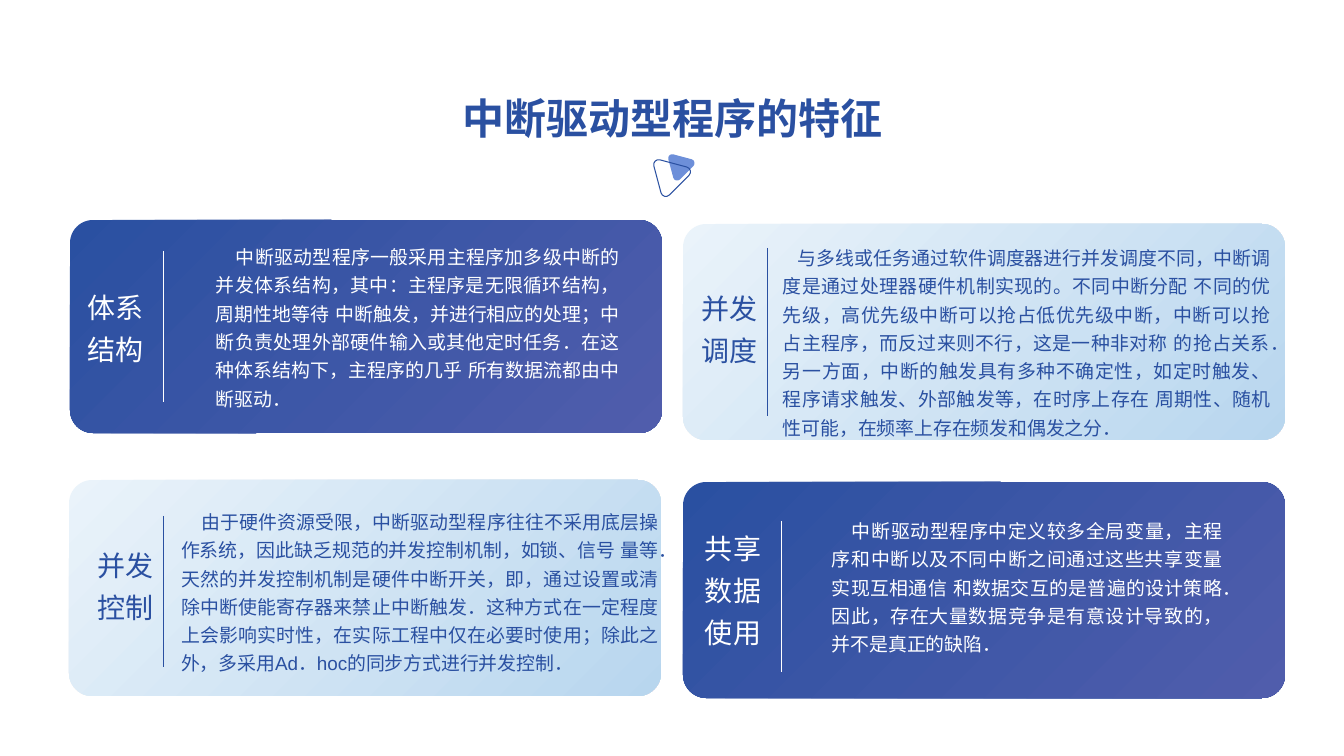
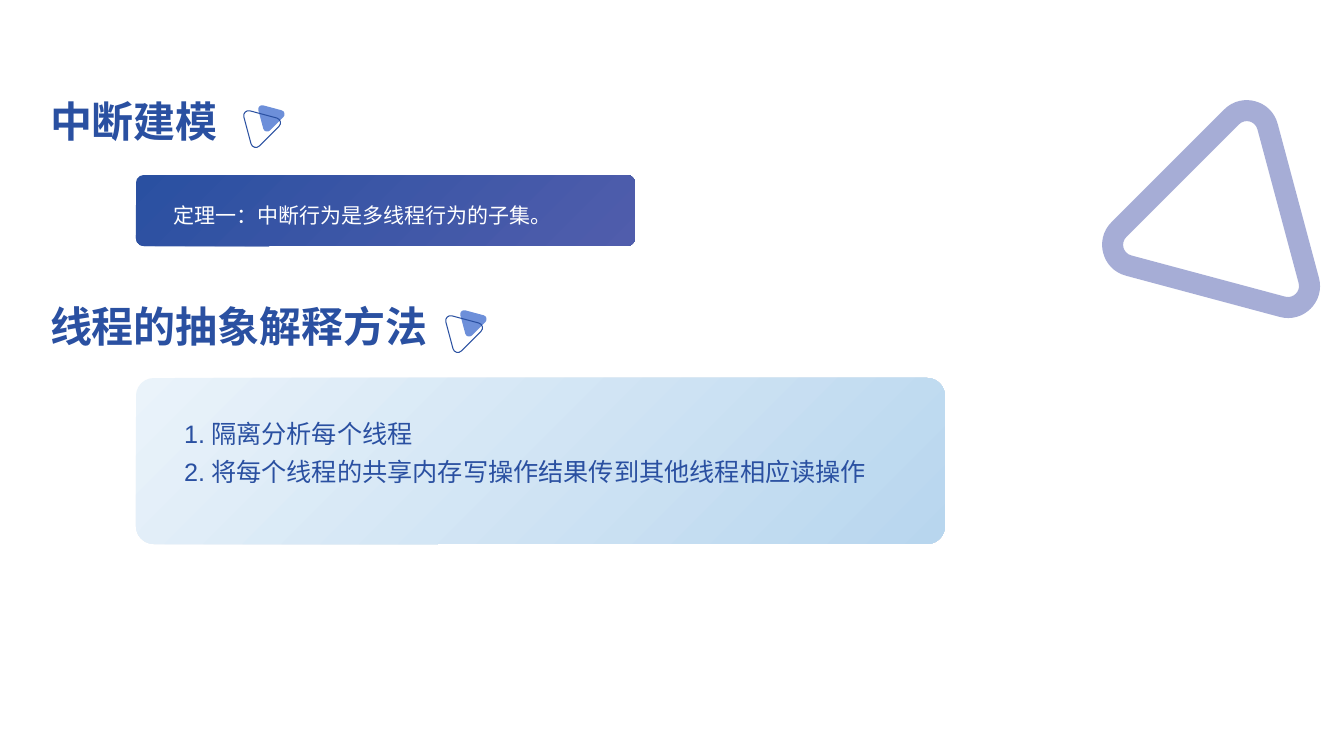
from dataclasses import dataclass
from math import cos, radians, sin

from lxml import etree
from pptx import Presentation
from pptx import util as u
from pptx.dml.color import RGBColor
from pptx.enum import shapes, text
from pptx.oxml import ns

PX = 914400 / 100.8  # EMU in one px
TITLE_AND_CONTENT, TITLE_ONLY = 1, 5


@dataclass(frozen=True)
class Theme:
    font: str = "Arial"
    ink: str = "2A50A1"
    paper: str = "FFFFFF"
    accent: str = "6D8FD9"
    ring: str = "8891C8"
    ring_alpha: int = 74
    dark: tuple = ("2A50A1", "505DAC")
    light: tuple = ("EAF3FA", "B8D6EE")
    corner: float = 0.108
    spacing: float = 1.25
    heading: float = 30
    label: float = 20
    item: float = 18
    theorem: float = 15
    body: float = 13.5


T = Theme()


@dataclass(frozen=True)
class Card:
    """Label, rule and text are placed relative to the box."""
    box: tuple        # left, top, width, height
    dark: bool
    label: str
    label_at: tuple   # left, top
    rule: tuple       # left, top, bottom
    body_at: tuple    # left, top, width
    indent: int
    body: str


CARDS = (
    Card((70, 220, 592, 213), True, "体系结构", (18, 62), (93, 31, 182),
         (146, 20, 404), 20,
         "中断驱动型程序一般采用主程序加多级中断的并发体系结构，其中：主程序是无限循环结构，"
         "周期性地等待 中断触发，并进行相应的处理；中断负责处理外部硬件输入或其他定时任务．"
         "在这种体系结构下，主程序的几乎 所有数据流都由中断驱动．"),
    Card((683, 224, 602, 216), False, "并发调度", (19, 59), (84, 24, 192),
         (100, 17, 488), 15,
         "与多线或任务通过软件调度器进行并发调度不同，中断调度是通过处理器硬件机制实现的。"
         "不同中断分配 不同的优先级，高优先级中断可以抢占低优先级中断，中断可以抢占主程序，"
         "而反过来则不行，这是一种非对称 的抢占关系．另一方面，中断的触发具有多种不确定性，"
         "如定时触发、程序请求触发、外部触发等，在时序上存在 周期性、随机性可能，"
         "在频率上存在频发和偶发之分．"),
    Card((69, 480, 592, 216), False, "并发控制", (29, 60), (94, 36, 187),
         (112, 25, 478), 20,
         "由于硬件资源受限，中断驱动型程序往往不采用底层操作系统，因此缺乏规范的并发控制机制，"
         "如锁、信号 量等．天然的并发控制机制是硬件中断开关，即，通过设置或清除中断使能寄存器"
         "来禁止中断触发．这种方式在一定程度上会影响实时性，在实际工程中仅在必要时使用；"
         "除此之外，多采用Ad．hoc的同步方式进行并发控制．"),
    Card((683, 482, 602, 216), True, "共享数据使用", (22, 41), (98, 39, 190),
         (149, 32, 391), 20,
         "中断驱动型程序中定义较多全局变量，主程序和中断以及不同中断之间通过这些共享变量"
         "实现互相通信 和数据交互的是普遍的设计策略．因此，存在大量数据竞争是有意设计导致的，"
         "并不是真正的缺陷．"),
)


def px(n):
    return u.Emu(round(n * PX))


def rgb(color):
    return RGBColor.from_string(color)


def set_all(obj, **values):
    for name, value in values.items():
        setattr(obj, name, value)


# Text
def write(sp, lines, size, color=T.ink, bold=False, wrap=True,
          align=text.PP_ALIGN.LEFT, spacing=T.spacing, indent=0):
    tf = sp.text_frame
    set_all(tf, margin_left=0, margin_top=0, margin_right=0, margin_bottom=0,
            word_wrap=wrap, auto_size=text.MSO_AUTO_SIZE.NONE,
            vertical_anchor=text.MSO_ANCHOR.TOP)
    for i, line in enumerate(lines):
        p = tf.add_paragraph() if i else tf.paragraphs[0]
        set_all(p, alignment=align, line_spacing=spacing,
                space_before=u.Pt(0), space_after=u.Pt(0))
        if indent:
            p._p.get_or_add_pPr().set("indent", str(px(indent)))
        r = p.add_run()
        r.text = line
        set_all(r.font, name=T.font, size=u.Pt(size), bold=bold)
        r.font.color.rgb = rgb(color)
        ea = etree.SubElement(r._r.get_or_add_rPr(), ns.qn("a:ea"))
        ea.set("typeface", T.font)


def place(sp, left, top, width, height):
    set_all(sp, left=px(left), top=px(top), width=px(width), height=px(height))


def add_text(s, box, lines, size, **style):
    sp = s.shapes.add_textbox(*map(px, box))
    write(sp, lines, size, **style)


def heading(s, box, words, sp=None, align=text.PP_ALIGN.LEFT):
    if sp is None:
        sp = s.shapes.add_textbox(0, 0, 0, 0)
    place(sp, *box)
    write(sp, [words], T.heading, bold=True, wrap=False, align=align, spacing=1.0)


def number(p, hanging):
    pPr = p._p.get_or_add_pPr()
    pPr.set("marL", str(px(hanging)))
    pPr.set("indent", str(-px(hanging)))
    font = etree.SubElement(pPr, ns.qn("a:buFont"))
    font.set("typeface", T.font)
    auto = etree.SubElement(pPr, ns.qn("a:buAutoNum"))
    auto.set("type", "arabicPeriod")


# Panels and triangles
def panel(s, box, colors):
    sp = s.shapes.add_shape(shapes.MSO_SHAPE.ROUNDED_RECTANGLE, *map(px, box))
    sp.shadow.inherit = False
    sp.adjustments[0] = T.corner
    sp.line.fill.background()
    sp.fill.gradient()
    sp.fill.gradient_angle = 315
    for stop, color, position in zip(sp.fill.gradient_stops, colors, (0, 1)):
        stop.color.rgb = rgb(color)
        stop.position = position


def contour(cx, cy, reach, radius, turn):
    """Start, two handles and end of each round corner of a triangle."""
    points = []
    for corner in (turn, turn + 120, turn + 240):
        mx = cx + reach * cos(radians(corner))
        my = cy + reach * sin(radians(corner))
        for side, handle in ((-60, 0), (-60, 0.77), (60, -0.77), (60, 0)):
            c, n = cos(radians(corner + side)), sin(radians(corner + side))
            points.append((px(mx + radius * (c - handle * n)),
                           px(my + radius * (n + handle * c))))
    return points


def curve_corners(sp):
    """Turn each handle, handle, end triple of lines into one curve."""
    outline = sp._element.find(".//" + ns.qn("a:path"))
    step, curve = 0, None
    for node in list(outline):
        if node.tag == ns.qn("a:moveTo"):
            step = 0
        elif node.tag == ns.qn("a:lnTo"):
            if step % 4 == 0:
                curve = etree.Element(ns.qn("a:cubicBezTo"))
                node.addprevious(curve)
            if step % 4 < 3:
                curve.append(node[0])
                outline.remove(node)
            step += 1


def triangle(s, contours, fill=None, line=None):
    first, *rest = contours
    fb = s.shapes.build_freeform(*first[0], scale=1.0)
    fb.add_line_segments(first[1:], close=True)
    for points in rest:
        fb.move_to(*points[0])
        fb.add_line_segments(points[1:], close=True)
    sp = fb.convert_to_shape()
    curve_corners(sp)
    sp.shadow.inherit = False
    if fill:
        sp.fill.solid()
        sp.fill.fore_color.rgb = rgb(fill)
    else:
        sp.fill.background()
    if line:
        sp.line.color.rgb = rgb(line)
        sp.line.width = u.Pt(0.75)
    else:
        sp.line.fill.background()
    return sp


def motif(s, cx, cy):
    triangle(s, [contour(cx + 10, cy - 10, 11, 4, -15)], fill=T.accent)
    triangle(s, [contour(cx, cy, 16, 5, -15)], line=T.ink)


def ring(s, cx, cy):
    outer = contour(cx, cy, 92, 32, 45)
    inner = contour(cx, cy, 92, 11, 45)[::-1]
    sp = triangle(s, [outer, inner], fill=T.ring)
    color = sp.fill._xPr.find(".//" + ns.qn("a:srgbClr"))
    etree.SubElement(color, ns.qn("a:alpha")).set("val", str(T.ring_alpha * 1000))


# Card: panel, label, rule and text
def add_card(s, card):
    left, top, width, height = card.box
    color = T.paper if card.dark else T.ink
    panel(s, card.box, T.dark if card.dark else T.light)

    dx, dy = card.label_at
    add_text(s, (left + dx, top + dy, 79, 79), [card.label], T.label, color=color)

    dx, start, end = card.rule
    rule = s.shapes.add_connector(
        shapes.MSO_CONNECTOR.STRAIGHT,
        *map(px, (left + dx, top + start, left + dx, top + end)))
    rule.line.color.rgb = rgb(color)
    rule.line.width = u.Pt(0.5)
    etree.SubElement(rule._element.spPr, ns.qn("a:effectLst"))

    dx, dy, body_width = card.body_at
    add_text(s, (left + dx, top + dy, body_width, height - dy), [card.body], T.body,
             color=color, align=text.PP_ALIGN.JUSTIFY, indent=card.indent)


# Slides
def features_slide(prs):
    s = prs.slides.add_slide(prs.slide_layouts[TITLE_ONLY])
    heading(s, (460, 93, 425, 50), "中断驱动型程序的特征",
            s.shapes.title, text.PP_ALIGN.CENTER)
    motif(s, 670, 176)
    for card in CARDS:
        add_card(s, card)


def modelling_slide(prs):
    s = prs.slides.add_slide(prs.slide_layouts[TITLE_AND_CONTENT])
    # Theorem
    heading(s, (50, 96, 170, 50), "中断建模", s.shapes.title)
    motif(s, 260, 127)
    panel(s, (136, 175, 499, 71), T.dark)
    add_text(s, (174, 196, 434, 30), ["定理一：中断行为是多线程行为的子集。"],
             T.theorem, color=T.paper)
    ring(s, 1223, 221)

    # Numbered method, with its list in front of the panel
    heading(s, (50, 301, 383, 50), "线程的抽象解释方法")
    motif(s, 462, 332)
    panel(s, (136, 378, 809, 166), T.light)
    body = s.placeholders[1]
    place(body, 184, 411, 740, 110)
    write(body, ["隔离分析每个线程", "将每个线程的共享内存写操作结果传到其他线程相应读操作"],
          T.item)
    for p in body.text_frame.paragraphs:
        number(p, 27)
    s.shapes._spTree.append(body._element)


def main():
    prs = Presentation()
    set_all(prs, slide_width=px(1344), slide_height=px(756))
    features_slide(prs)
    modelling_slide(prs)
    prs.save("out.pptx")


if __name__ == "__main__":
    main()
